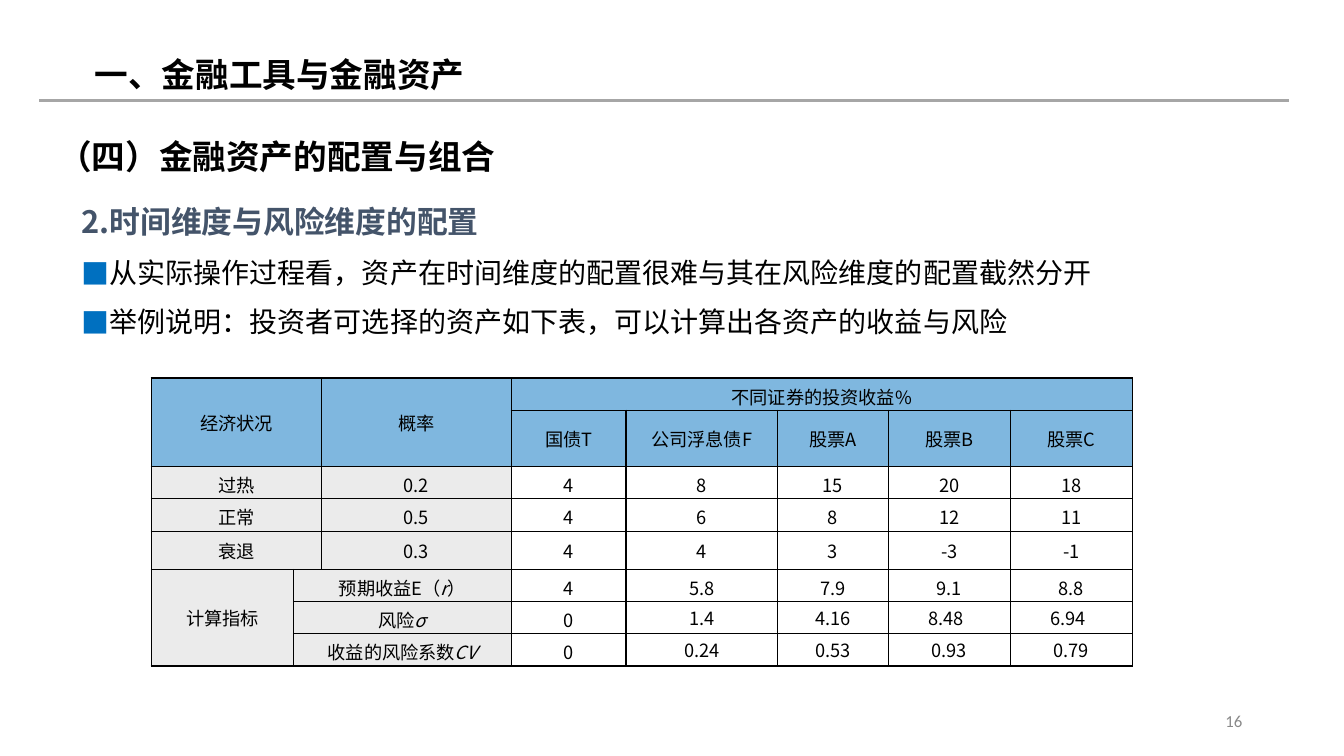
from dataclasses import dataclass

from lxml import etree
from pptx import Presentation
from pptx.dml.color import RGBColor
from pptx.enum.shapes import MSO_CONNECTOR
from pptx.enum.text import MSO_ANCHOR, MSO_AUTO_SIZE, PP_ALIGN
from pptx.oxml.ns import qn
from pptx.util import Emu, Pt

LEFT, MID, RIGHT = PP_ALIGN.LEFT, PP_ALIGN.CENTER, PP_ALIGN.RIGHT
TOP, CENTER = MSO_ANCHOR.TOP, MSO_ANCHOR.MIDDLE
GROW, FIXED = MSO_AUTO_SIZE.SHAPE_TO_FIT_TEXT, MSO_AUTO_SIZE.NONE
STRAIGHT = MSO_CONNECTOR.STRAIGHT
SCALE = 9144
HAN = "Noto Sans CJK SC"
BLACK, BLUE, GREY, SLATE = "000000", "0070C0", "D9D9D9", "44546A"


@dataclass
class Line:
    """A paragraph of one style."""
    text: str
    size: int
    color: str = BLACK
    bold: bool = False
    font: str = HAN
    align: PP_ALIGN = LEFT
    space: float = 1.0
    before: int = 0
    bullet: bool = False


@dataclass
class Box:
    """A text box with its lines."""
    left: int
    top: int
    width: int
    height: int
    lines: list[Line]
    anchor: MSO_ANCHOR = TOP
    fit: MSO_AUTO_SIZE = FIXED
    wrap: bool = True


BOXES = [
    Box(84, 49, 667, 91, [Line("一、金融工具与金融资产", 24, bold=True)], fit=GROW),
    Box(71, 200, 1262, 550, [
        Line("2.时间维度与风险维度的配置", 22, SLATE, True, space=0.9),
        Line("从实际操作过程看，资产在时间维度的配置很难与其在风险维度的配置截然分开",
             20, space=1.05, before=10, bullet=True),
        Line("举例说明：投资者可选择的资产如下表，可以计算出各资产的收益与风险",
             20, space=1.05, before=10, bullet=True),
    ]),
    Box(48, 122, 458, 59, [Line("（四）金融资产的配置与组合", 24, bold=True, space=1.2)],
        fit=GROW, wrap=False),
    Box(942, 695, 300, 40, [Line("16", 12, "898989", font="Calibri", align=RIGHT)],
        anchor=CENTER),
]
WIDTHS = [141, 28, 188, 114, 150, 110, 121, 121]
HEIGHTS = [32, 56, 32, 32, 38, 32, 32, 32]
GRID = [
    ["经济状况", "", "概率", "不同证券的投资收益%", "", "", "", ""],
    ["", "", "", "国债T", "公司浮息债F", "股票A", "股票B", "股票C"],
    ["过热", "", "0.2", "4", "8", "15", "20", "18"],
    ["正常", "", "0.5", "4", "6", "8", "12", "11"],
    ["衰退", "", "0.3", "4", "4", "3", "-3", "-1"],
    ["计算指标", "预期收益E（|r|）", "", "4", "5.8", "7.9", "9.1", "8.8"],
    ["", "风险|σ", "", "0", "1.4", "4.16", "8.48", "6.94"],
    ["", "收益的风险系数|CV", "", "0", "0.24", "0.53", "0.93", "0.79"],
]
SPANS = [(0, 0, 1, 1), (0, 2, 1, 2), (0, 3, 0, 7), (5, 0, 7, 0),
         *[(row, 0, row, 1) for row in (2, 3, 4)],
         *[(row, 1, row, 2) for row in (5, 6, 7)]]


def px(size: int) -> Emu:
    """Turn px into EMU."""
    return Emu(size * SCALE)


def rgb(color: str) -> RGBColor:
    """Turn a hex string into a colour."""
    return RGBColor.from_string(color)


def style(run, size: int, color: str, font: str = HAN) -> None:
    """Set size, colour and typeface of a run."""
    run.font.size = Pt(size)
    run.font.color.rgb = rgb(color)
    run.font.name = font
    etree.SubElement(run._r.get_or_add_rPr(), qn("a:ea"), typeface=font)


def mark(para) -> None:
    """Give a paragraph a square bullet."""
    props = para._p.get_or_add_pPr()
    props.set("marL", str(px(25)))
    props.set("indent", str(-px(25)))
    tint = etree.SubElement(props, qn("a:buClr"))
    etree.SubElement(tint, qn("a:srgbClr"), val=BLUE)
    etree.SubElement(props, qn("a:buFont"), typeface=HAN)
    etree.SubElement(props, qn("a:buChar"), char="■")


def write(slide, box: Box) -> None:
    """Draw a text box."""
    shape = slide.shapes.add_textbox(*map(px, (box.left, box.top, box.width, box.height)))
    frame = shape.text_frame
    frame.text = "\n".join(line.text for line in box.lines)
    frame.word_wrap = box.wrap
    frame.auto_size = box.fit
    frame.vertical_anchor = box.anchor
    for para, line in zip(frame.paragraphs, box.lines):
        para.alignment = line.align
        para.line_spacing = line.space
        para.space_before = Pt(line.before)
        if line.bullet:
            mark(para)
        for run in para.runs:
            style(run, line.size, line.color, line.font)
            run.font.bold = line.bold


def border(cell) -> None:
    """Put a thin black line on each side of a cell."""
    props = cell._tc.get_or_add_tcPr()
    for place, side in enumerate("LRTB"):
        edge = etree.Element(qn(f"a:ln{side}"), w=str(Pt(1)))
        fill = etree.SubElement(edge, qn("a:solidFill"))
        etree.SubElement(fill, qn("a:srgbClr"), val=BLACK)
        props.insert(place, edge)


def paint(cell, row: int, col: int) -> None:
    """Fill head and label cells at half strength."""
    if row > 1 and col > 2:
        cell.fill.background()
        return
    cell.fill.solid()
    cell.fill.fore_color.rgb = rgb(BLUE if row < 2 else GREY)
    tint = cell._tc.tcPr.find(f".//{qn('a:srgbClr')}")
    etree.SubElement(tint, qn("a:alpha"), val="50000")


def enter(cell, row: int, col: int, text: str) -> None:
    """Fill in a cell, with every second part in italics."""
    cell.vertical_anchor = CENTER
    if row > 5 and col > 3:
        cell.margin_left = px(0 if row == 6 and col > 5 else 7)
        cell.margin_right = px(7)
        cell.margin_top = cell.margin_bottom = px(0)
    paint(cell, row, col)
    border(cell)
    para = cell.text_frame.paragraphs[0]
    para.alignment = MID
    for turn, part in enumerate(text.split("|") if text else []):
        run = para.add_run()
        run.text = part
        style(run, 13, BLACK)
        run.font.italic = turn % 2 == 1


def tabulate(slide) -> None:
    """Draw the table of returns."""
    frame = slide.shapes.add_table(len(HEIGHTS), len(WIDTHS), px(150), px(375),
                                   px(sum(WIDTHS)), px(sum(HEIGHTS)))
    table = frame.table
    table.first_row = table.horz_banding = False
    for col, width in zip(table.columns, WIDTHS):
        col.width = px(width)
    for row, height in zip(table.rows, HEIGHTS):
        row.height = px(height)
    for row, texts in enumerate(GRID):
        for col, text in enumerate(texts):
            enter(table.cell(row, col), row, col, text)
    for top, left, end, right in SPANS:
        table.cell(top, left).merge(table.cell(end, right))


def rule(slide) -> None:
    """Draw the line under the title."""
    line = slide.shapes.add_connector(STRAIGHT, px(39), px(100), px(1278), px(100))
    line.line.color.rgb = rgb("A6A6A6")
    line.line.width = Pt(2.25)
    etree.SubElement(line._element.spPr, qn("a:effectLst"))


def main() -> None:
    """Build and save the slide."""
    deck = Presentation()
    deck.slide_width, deck.slide_height = px(1333), px(750)
    slide = deck.slides.add_slide(deck.slide_layouts[6])
    rule(slide)
    for box in BOXES:
        write(slide, box)
    tabulate(slide)
    deck.save("out.pptx")


if __name__ == "__main__":
    main()
